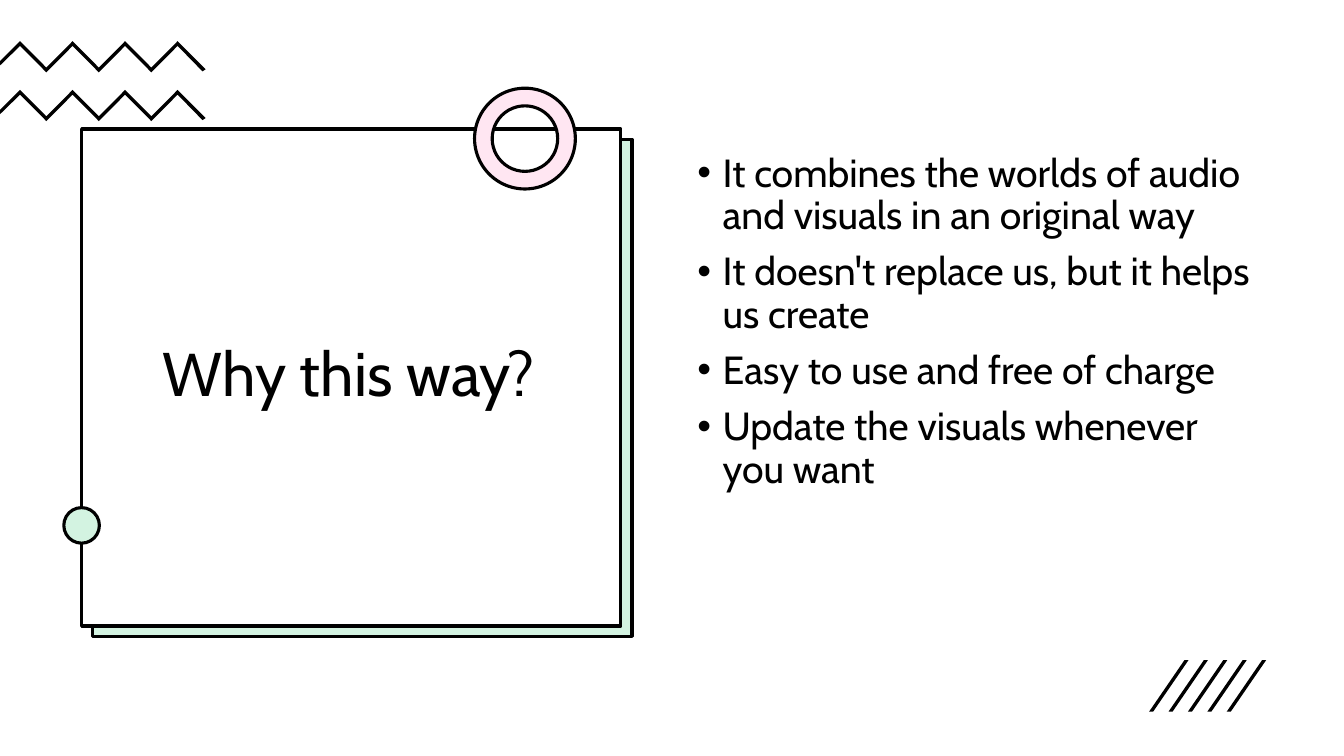
from lxml.etree import SubElement
from pptx import Presentation
from pptx.dml.color import RGBColor
from pptx.enum.shapes import MSO_SHAPE as SHAPE
from pptx.enum.text import MSO_ANCHOR as ANCHOR, MSO_AUTO_SIZE as AUTO, PP_ALIGN as ALIGN
from pptx.oxml.ns import qn
from pptx.util import Pt

# Content
TITLE = "Why this way?"
BULLETS = [
    "It combines the worlds of audio and visuals in an original way",
    "It doesn't replace us, but it helps us create",
    "Easy to use and free of charge",
    "Update the visuals whenever you want",
]
COLORS = {"ink": "000000", "paper": "FFFFFF", "mint": "D3F3E1", "pink": "FFE6F2"}
FONT = "Cabin"

# Layout, in points: left, top, width, height
TITLE_BOX = (87.1, 99.4, 324, 338.4)
BODY_BOX = (491, 105.8, 411.1, 342.7)
SHAPES = [
    (SHAPE.RECTANGLE, (66.3, 99.6, 385.2, 355), "mint"),
    (SHAPE.RECTANGLE, (58.3, 92.2, 385.2, 355), "paper"),
    (SHAPE.DONUT, (339, 63, 72, 72), "pink"),
    (SHAPE.OVAL, (45.6, 362.6, 25.4, 25.4), "mint"),
]
RING_WIDTH = 0.175
ZIGZAG_TOPS = (29.4, 64.2)
ZIGZAG_START, ZIGZAG_STEP, ZIGZAG_DEPTH, ZIGZAG_WEIGHT = 14.4, 18.75, 18.9, 3.4
SLASH_COUNT, SLASH_LEFT, SLASH_TOP, SLASH_STEP = 5, 820.8, 471.6, 13.86
SLASH_OUTLINE = [(2.9, 36.7), (0, 36.7), (25.2, 0), (28.1, 0)]


def rgb(name):
    return RGBColor.from_string(COLORS[name])


def place(sp, box):
    sp.left, sp.top, sp.width, sp.height = (Pt(v) for v in box)


def add_text(p, text, size, align=ALIGN.LEFT, before=0, bullet=None):
    if bullet:
        pPr = p._p.get_or_add_pPr()
        pPr.set("marL", str(Pt(18)))
        pPr.set("indent", str(Pt(-18)))
        SubElement(pPr, qn("a:buFont"), typeface="Arial")
        SubElement(pPr, qn("a:buChar"), char=bullet)
    p.alignment, p.line_spacing, p.space_before = align, 0.9, Pt(before)
    r = p.add_run()
    r.text = text
    r.font.name, r.font.size = FONT, Pt(size)
    r.font.color.rgb = rgb("ink")


def add_outline(s, points):
    points = [(Pt(x), Pt(y)) for x, y in points]
    builder = s.shapes.build_freeform(*points[0])
    builder.add_line_segments(points[1:], close=True)
    sp = builder.convert_to_shape()
    sp.shadow.inherit = False
    sp.fill.solid()
    sp.fill.fore_color.rgb = rgb("ink")
    sp.line.fill.background()


def zigzag(top):
    upper = [(ZIGZAG_START + i * ZIGZAG_STEP, top + i % 2 * ZIGZAG_DEPTH) for i in range(7)]
    lower = [(x, y + ZIGZAG_WEIGHT) for x, y in reversed(upper)]
    right_end = [(146.9, top + 20.1), (144.7, top + 21.6)]
    left_end = [(0, top + 17.4), (0, top + 14.3)]
    return upper + right_end + lower + left_end


prs = Presentation()
prs.slide_width, prs.slide_height = Pt(960), Pt(540)
s = prs.slides.add_slide(prs.slide_layouts[1])
s.background.fill.solid()
s.background.fill.fore_color.rgb = rgb("paper")

# Zigzags, top left
for top in ZIGZAG_TOPS:
    add_outline(s, zigzag(top))

# Card, ring and dot
for kind, box, color in SHAPES:
    sp = s.shapes.add_shape(kind, *(Pt(v) for v in box))
    sp.shadow.inherit = False
    sp.fill.solid()
    sp.fill.fore_color.rgb = rgb(color)
    sp.line.color.rgb, sp.line.width = rgb("ink"), Pt(2.25)
    if kind == SHAPE.DONUT:
        sp.adjustments[0] = RING_WIDTH

# Slashes, bottom right
for i in range(SLASH_COUNT):
    left = SLASH_LEFT + i * SLASH_STEP
    add_outline(s, [(left + x, SLASH_TOP + y) for x, y in SLASH_OUTLINE])

# Title and list, brought in front of the card
title, body = s.shapes.title, s.placeholders[1]
for sp, box, anchor in ((title, TITLE_BOX, ANCHOR.MIDDLE), (body, BODY_BOX, ANCHOR.TOP)):
    place(sp, box)
    tf = sp.text_frame
    tf.word_wrap, tf.auto_size, tf.vertical_anchor = True, AUTO.NONE, anchor
    s.shapes.element.append(sp.element)

add_text(title.text_frame.paragraphs[0], TITLE, 44, align=ALIGN.CENTER)
tf = body.text_frame
for i, text in enumerate(BULLETS):
    p = tf.add_paragraph() if i else tf.paragraphs[0]
    add_text(p, text, 28, before=10 if i else 0, bullet="•")

prs.save("out.pptx")
